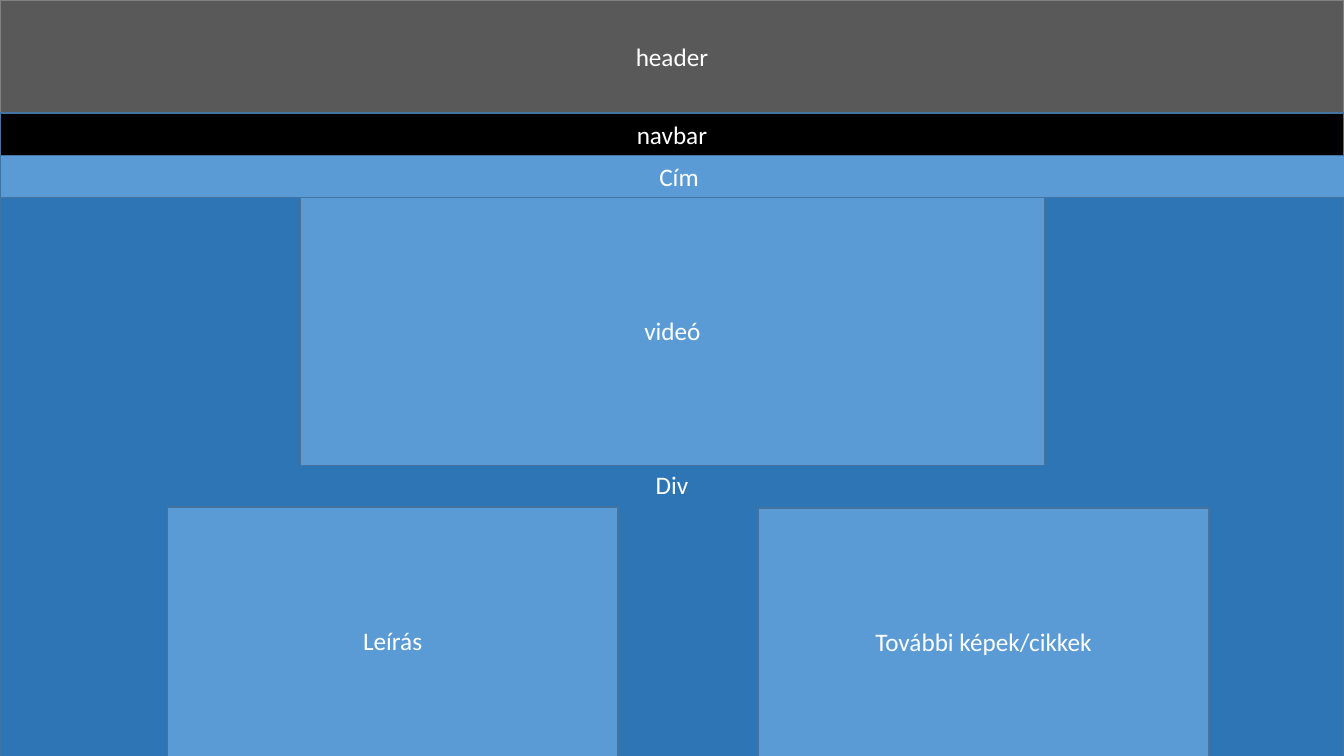
import pptx
import pptx.dml.color
import pptx.enum.shapes
import pptx.enum.text
import pptx.util

PIXEL = 9144
WIDTH, HEIGHT = 1333, 750
BLANK_LAYOUT = 6


def colour(value):
    return pptx.dml.color.RGBColor.from_string(value)


class Wireframe:
    light, dark, outline = "5B9BD5", "2E75B6", "43739E"
    font_format = {
        "name": "Calibri",
        "size": pptx.util.Pt(18),
    }
    frame_format = {
        "word_wrap": True,
        "vertical_anchor": pptx.enum.text.MSO_ANCHOR.MIDDLE,
    }

    def __init__(self, page):
        self.page = page

    def apply(self, target, values):
        for name, value in values.items():
            setattr(target, name, value)

    def block(self, label, left, top, width, height, fill=light, line=outline):
        box = self.page.shapes.add_shape(
            pptx.enum.shapes.MSO_SHAPE.RECTANGLE,
            *(length * PIXEL for length in (left, top, width, height)),
        )
        box.shadow.inherit = False
        box.fill.solid()
        box.fill.fore_color.rgb = colour(fill)
        box.line.color.rgb = colour(line)
        box.line.width = pptx.util.Pt(1)
        self.apply(box.text_frame, self.frame_format)
        para = box.text_frame.paragraphs[0]
        para.alignment = pptx.enum.text.PP_ALIGN.CENTER
        span = para.add_run()
        span.text = label
        self.apply(span.font, self.font_format)
        span.font.color.rgb = colour("FFFFFF")


def main():
    deck = pptx.Presentation()
    deck.slide_width = WIDTH * PIXEL
    deck.slide_height = HEIGHT * PIXEL
    page = deck.slides.add_slide(deck.slide_layouts[BLANK_LAYOUT])
    wireframe = Wireframe(page)

    header_height, bar_height = 112, 42
    content_top = header_height + bar_height
    wireframe.block("header", 0, 0, WIDTH, header_height, "595959", "808080")
    wireframe.block("navbar", 0, header_height, WIDTH, bar_height, "000000")
    wireframe.block("Div", 0, content_top, WIDTH, 653, wireframe.dark)
    wireframe.block("videó", 298, 194, 738, 268)
    wireframe.block("Leírás", 166, 503, 447, 265)
    wireframe.block("További képek/cikkek", 752, 504, 447, 265)
    wireframe.block("Cím", 0, content_top, 1347, bar_height)

    deck.save("out.pptx")


if __name__ == "__main__":
    main()
